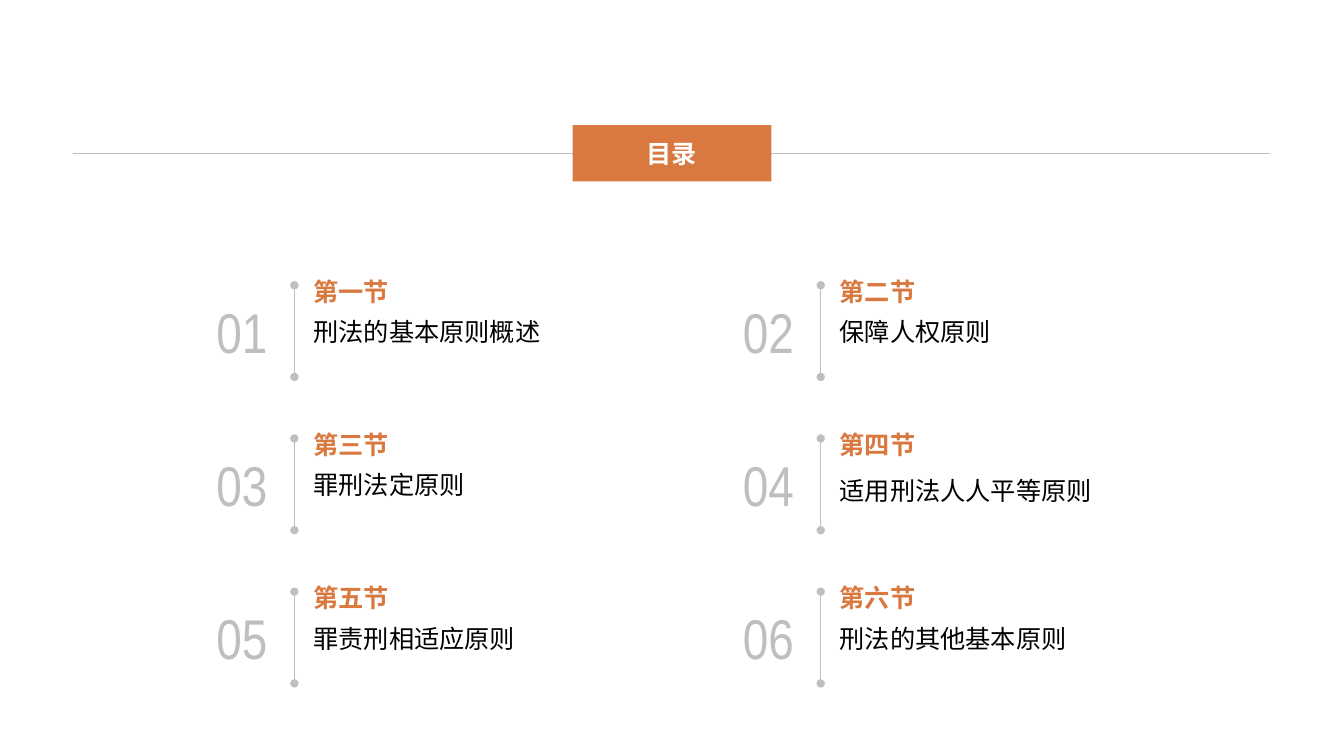
from dataclasses import dataclass

from lxml.etree import SubElement
from pptx import Presentation
from pptx.dml.color import RGBColor
from pptx.enum.shapes import MSO_CONNECTOR
from pptx.enum.text import MSO_ANCHOR, MSO_AUTO_SIZE, PP_ALIGN
from pptx.oxml import parse_xml
from pptx.oxml.ns import nsdecls, qn
from pptx.util import Inches, Pt


@dataclass(frozen=True)
class Theme:
    accent: str = "D9793F"
    gray: str = "BFBFBF"
    white: str = "FFFFFF"
    black: str = "000000"
    font: str = "Noto Sans CJK SC"
    number_font: str = "Arial Narrow"
    text_size: int = 18
    number_size: int = 40


def write(tf, text, size, color, font, bold=False, align=PP_ALIGN.LEFT,
          anchor=MSO_ANCHOR.TOP, spacing=None):
    tf.word_wrap = True
    tf.auto_size = MSO_AUTO_SIZE.NONE
    tf.vertical_anchor = anchor
    p = tf.paragraphs[0]
    p.alignment = align
    p.line_spacing = spacing
    r = p.add_run()
    r.text = text
    r.font.size = Pt(size)
    r.font.bold = bold
    r.font.color.rgb = RGBColor.from_string(color)
    r.font.name = font
    SubElement(r.font._element, qn("a:ea")).set("typeface", font)


class Deck:
    def __init__(self, theme):
        self.theme = theme
        self.prs = Presentation()
        self.prs.slide_width = Inches(13.33)
        self.prs.slide_height = Inches(7.5)
        self.s = self.prs.slides.add_slide(self.prs.slide_layouts[5])

    def title_pill(self, text, x, y, w, h):
        t = self.theme
        sp = self.s.shapes.title
        sp.left, sp.top, sp.width, sp.height = map(Inches, (x, y, w, h))
        sp._element.spPr.append(parse_xml(
            f'<a:prstGeom {nsdecls("a")} prst="roundRect"><a:avLst>'
            '<a:gd name="adj" fmla="val 50000"/></a:avLst></a:prstGeom>'))
        sp.fill.solid()
        sp.fill.fore_color.rgb = RGBColor.from_string(t.accent)
        write(sp.text_frame, text, t.text_size, t.white, t.font, bold=True,
              align=PP_ALIGN.CENTER, anchor=MSO_ANCHOR.MIDDLE)
        # Bring the pill in front of the rule
        sp._element.getparent().append(sp._element)

    def text(self, text, x, y, w, h, **fmt):
        sp = self.s.shapes.add_textbox(*map(Inches, (x, y, w, h)))
        write(sp.text_frame, text, **fmt)

    def line(self, x1, y1, x2, y2, width, dots=False):
        c = self.s.shapes.add_connector(
            MSO_CONNECTOR.STRAIGHT, *map(Inches, (x1, y1, x2, y2)))
        c.line.width = Pt(width)
        c.line.color.rgb = RGBColor.from_string(self.theme.gray)
        if dots:
            for end in ("a:headEnd", "a:tailEnd"):
                SubElement(c.line._get_or_add_ln(), qn(end)).set("type", "oval")
        SubElement(c._element.spPr, qn("a:effectLst"))

    def entry(self, number, heading, body, x, y, body_width=3.11, spacing=None):
        t = self.theme
        self.text(f"{number:02}", x, y, 0.82, 0.91, size=t.number_size,
                  color=t.gray, font=t.number_font,
                  align=PP_ALIGN.CENTER, anchor=MSO_ANCHOR.MIDDLE)
        self.text(heading, x + 1.02, y - 0.14, 3.11, 0.4, size=t.text_size,
                  color=t.accent, font=t.font, bold=True,
                  anchor=MSO_ANCHOR.BOTTOM)
        self.text(body, x + 1.02, y + 0.26, body_width, 0.64, size=t.text_size,
                  color=t.black, font=t.font, align=PP_ALIGN.JUSTIFY,
                  spacing=spacing)
        self.line(x + 0.93, y, x + 0.93, y + 0.91, 1, dots=True)


SECTIONS = [
    ("第一节", "刑法的基本原则概述", {}),
    ("第二节", "保障人权原则", {}),
    ("第三节", "罪刑法定原则", {}),
    ("第四节", "适用刑法人人平等原则", {"body_width": 3.33, "spacing": 1.2}),
    ("第五节", "罪责刑相适应原则", {}),
    ("第六节", "刑法的其他基本原则", {}),
]
LEFT, TOP = 1.99, 2.83
COLUMN_STEP, ROW_STEP = 5.22, 1.52


def main():
    deck = Deck(Theme())

    # Heading band
    deck.line(0.72, 1.52, 12.6, 1.52, 0.25)
    deck.title_pill("目录", 5.68, 1.24, 1.97, 0.56)

    # Contents in two columns
    for i, (heading, body, options) in enumerate(SECTIONS):
        row, col = divmod(i, 2)
        deck.entry(i + 1, heading, body, LEFT + col * COLUMN_STEP,
                   TOP + row * ROW_STEP, **options)

    deck.prs.save("out.pptx")


if __name__ == "__main__":
    main()
